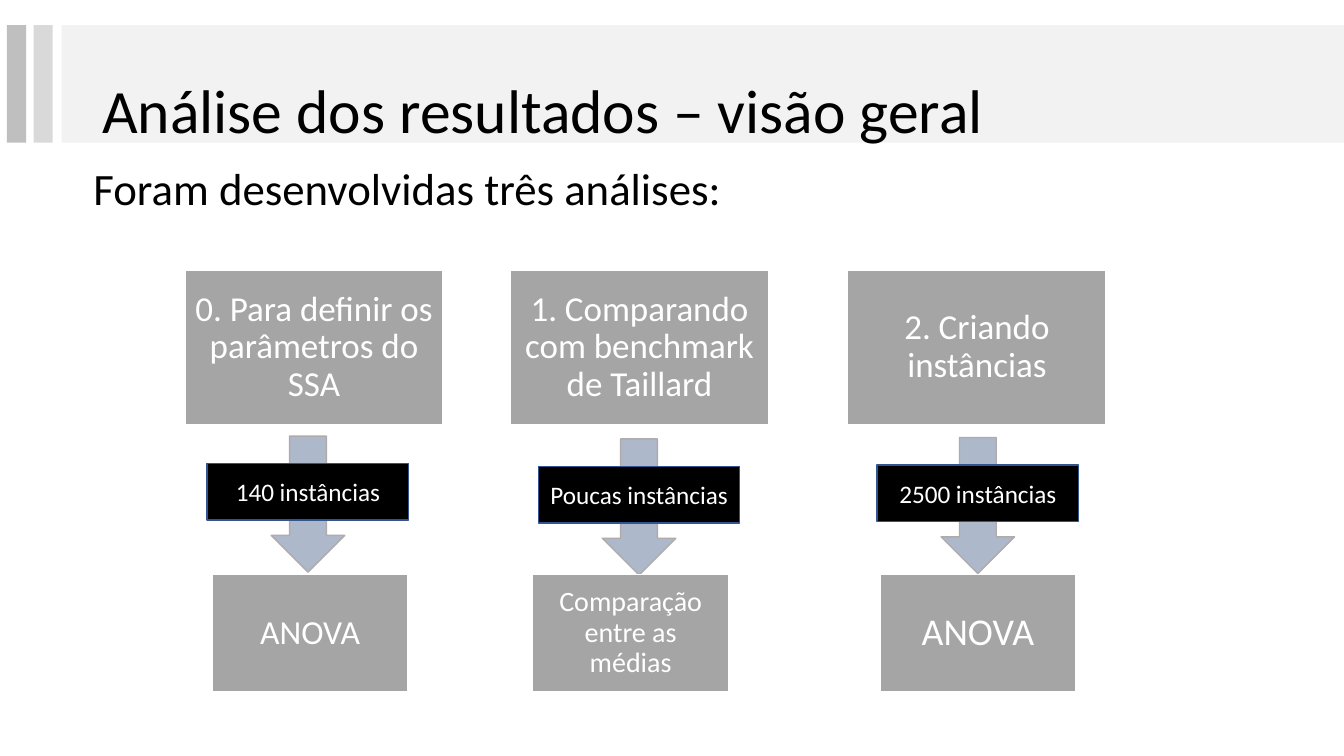
import pptx
import pptx.util
import pptx.dml.color
import pptx.enum.shapes
import pptx.enum.text

Pt = pptx.util.Pt
RGBColor = pptx.dml.color.RGBColor
Shape = pptx.enum.shapes.MSO_SHAPE
Anchor = pptx.enum.text.MSO_ANCHOR
Align = pptx.enum.text.PP_ALIGN

BLACK = RGBColor(0x00, 0x00, 0x00)
WHITE = RGBColor(0xFF, 0xFF, 0xFF)
BAND = RGBColor(0xF2, 0xF2, 0xF2)
LIGHT_BAR = RGBColor(0xD9, 0xD9, 0xD9)
DARK_BAR = RGBColor(0xBF, 0xBF, 0xBF)
GREY = RGBColor(0xA5, 0xA5, 0xA5)
ARROW_FILL = RGBColor(0xAD, 0xB9, 0xCA)
ARROW_LINE = RGBColor(0xAF, 0xAB, 0xAB)
LABEL_LINE = RGBColor(0x32, 0x54, 0x91)

deck = pptx.Presentation()
deck.slide_width, deck.slide_height = Pt(960), Pt(540)
page = deck.slides.add_slide(deck.slide_layouts[6])


def add_block(left, top, width, height, fill, line=None, kind=Shape.RECTANGLE):
    """Add a filled preset shape, outlined when a line colour is given."""
    block = page.shapes.add_shape(kind, Pt(left), Pt(top), Pt(width), Pt(height))
    block.shadow.inherit = False
    block.fill.solid()
    block.fill.fore_color.rgb = fill
    if line is None:
        block.line.fill.background()
    else:
        block.line.color.rgb = line
        block.line.width = Pt(1)
    return block


def write(box, text, size, color=WHITE, align=Align.CENTER, anchor=Anchor.MIDDLE,
          spacing=1.0, inset=(7.2, 3.6)):
    """Put one formatted paragraph into a box."""
    frame = box.text_frame
    frame.word_wrap = True
    frame.vertical_anchor = anchor
    frame.margin_left = frame.margin_right = Pt(inset[0])
    frame.margin_top = frame.margin_bottom = Pt(inset[1])
    para = frame.paragraphs[0]
    para.alignment = align
    para.line_spacing = spacing
    span = para.add_run()
    span.text = text
    span.font.name = "Calibri"
    span.font.size = Pt(size)
    span.font.color.rgb = color


# Header band and side bars
for left, width, fill in [(44, 916, BAND), (24, 13.7, LIGHT_BAR), (5, 13.7, DARK_BAR)]:
    add_block(left, 18, width, 84, fill)

title = page.shapes.add_textbox(Pt(66), Pt(28.75), Pt(828), Pt(104.4))
write(title, "Análise dos resultados – visão geral", 44, color=BLACK,
      align=Align.LEFT, spacing=0.9)
intro = page.shapes.add_textbox(Pt(59.6), Pt(111.5), Pt(813.6), Pt(46))
write(intro, "Foram desenvolvidas três análises:", 32, color=BLACK,
      align=Align.LEFT, anchor=Anchor.TOP)

# Each column: analysis, arrow with the instance count over it, method
# (text, left), (text, arrow centre, arrow top), (text, left, size)
columns = [
    (("0. Para definir os parâmetros do SSA", 132),
     ("140 instâncias", 220, 311.5), ("ANOVA", 151.5, 24)),
    (("1. Comparando com benchmark de Taillard", 364.5),
     ("Poucas instâncias", 456.5, 313.5), ("Comparação entre as médias", 380.5, 20)),
    (("2. Criando instâncias", 605.5),
     ("2500 instâncias", 698.5, 312.5), ("ANOVA", 628.5, 27)),
]
for (analysis, analysis_left), (count, center, top), (method, method_left, size) in columns:
    write(add_block(analysis_left, 193, 184.5, 110.5, GREY, WHITE), analysis, 25,
          spacing=0.9, inset=(7.2, 7.2))
    add_block(center - 26.25, top, 52.5, 97.2, ARROW_FILL, ARROW_LINE, Shape.DOWN_ARROW)
    write(add_block(center - 72, top + 19.7, 144, 40.3, BLACK, LABEL_LINE), count, 18)
    write(add_block(method_left, 410.2, 140, 84, GREY, WHITE), method, size,
          spacing=0.9, inset=(7.9, 7.9))

deck.save("out.pptx")
